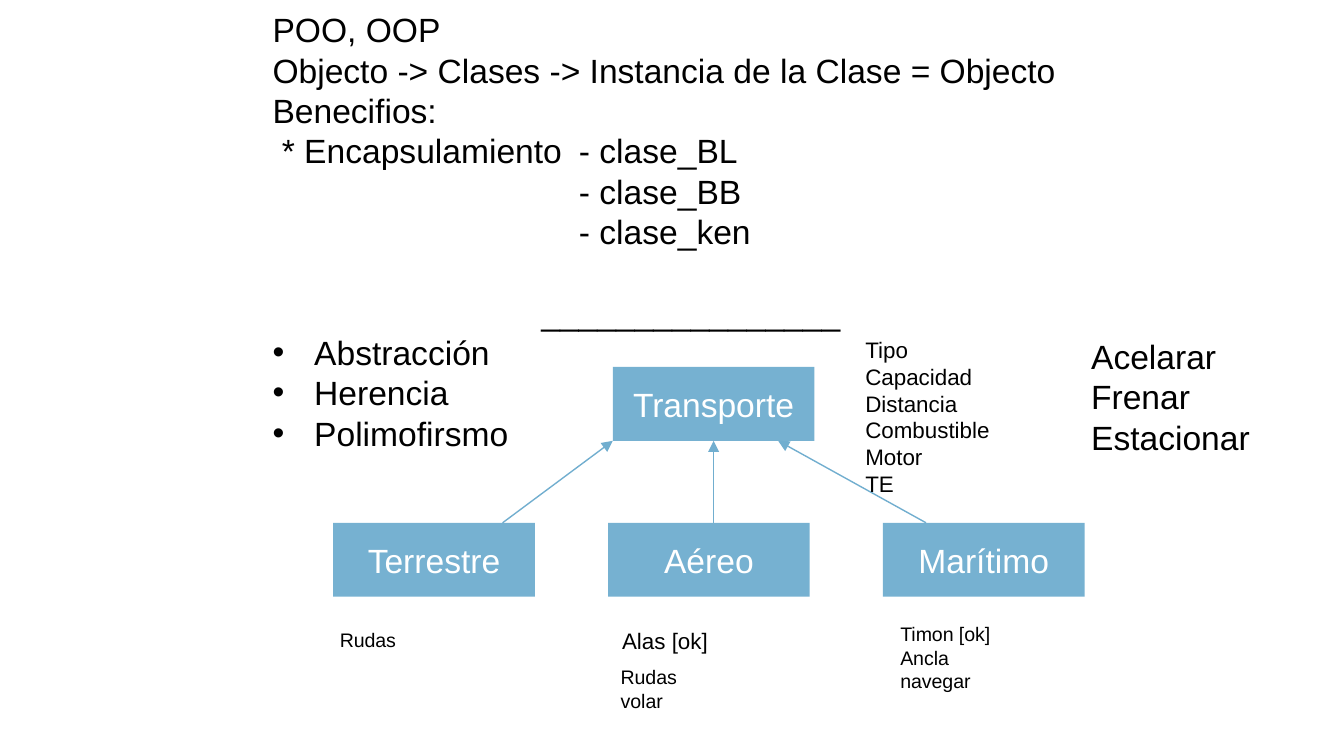
from pptx import Presentation, util as u
from pptx.dml import color
from pptx.enum import shapes as kinds, text
from pptx.oxml import parse_xml, ns

THEME = {
    "font": "Arial", "ink": "000000", "pale": "FFFFFF",
    "fill": "76B1D1", "line": "71AECF",
    "big": 18, "mid": 12, "small": 10.5, "edge": 0.75,
}


def tint(name):
    return color.RGBColor.from_string(THEME[name])


def apply(obj, vals):
    for key, val in vals.items():
        setattr(obj, key, val)


def xml(tag, attrs="", body=""):
    return parse_xml(f"<a:{tag} {ns.nsdecls('a')} {attrs}>{body}</a:{tag}>")


def style(para, size, ink="ink"):
    for run in para.runs:
        apply(run.font, {"name": THEME["font"], "size": u.Pt(THEME[size])})
        run.font.color.rgb = tint(ink)


def write(slide, box, lines, size, wrap=False):
    frame = slide.shapes.add_textbox(*map(u.Inches, box)).text_frame
    frame.word_wrap = wrap
    for i, line in enumerate(lines):
        para = frame.add_paragraph() if i else frame.paragraphs[0]
        para.text = line
        style(para, size)
    return frame.paragraphs


def indent(para, left, first=0):
    props = para._p.get_or_add_pPr()
    props.set("marL", str(u.Inches(left)))
    props.set("indent", str(u.Inches(first)))
    return props


def notes(slide, box):
    column = 2.28
    paras = write(slide, box, [
        "POO, OOP",
        "Objecto -> Clases -> Instancia de la Clase = Objecto",
        "Benecifios:",
        " * Encapsulamiento\t- clase_BL",
        "- clase_BB",
        "- clase_ken",
        "_" * 16,
        "Abstracción", "Herencia", "Polimofirsmo",
    ], "big", True)
    stop = f'<a:tab pos="{u.Inches(column)}" algn="l"/>'
    paras[3]._p.get_or_add_pPr().append(xml("tabLst", body=stop))
    for para in paras[4:6]:
        indent(para, column)
    indent(paras[6], 2)
    paras[6].space_before = u.Pt(21.6)
    for para in paras[7:]:
        props = indent(para, 0.31, -0.31)
        props.append(xml("buFont", 'typeface="Arial"'))
        props.append(xml("buChar", 'char="•"'))


def node(slide, box, label):
    shape = slide.shapes.add_shape(kinds.MSO_SHAPE.RECTANGLE, *map(u.Inches, box))
    shape.shadow.inherit = False
    shape.fill.solid()
    shape.fill.fore_color.rgb = tint("fill")
    shape.line.fill.background()
    frame = shape.text_frame
    apply(frame, {"word_wrap": True, "vertical_anchor": text.MSO_ANCHOR.MIDDLE})
    para = frame.paragraphs[0]
    apply(para, {"text": label, "alignment": text.PP_ALIGN.CENTER})
    style(para, "big", "pale")
    return shape


def arrow(slide, start, end):
    link = slide.shapes.add_connector(
        kinds.MSO_CONNECTOR.STRAIGHT, *map(u.Inches, start + end))
    link.line.color.rgb = tint("line")
    link.line.width = u.Pt(THEME["edge"])
    link.line._get_or_add_ln().append(xml("tailEnd", 'type="triangle"'))
    link._element.spPr.append(xml("effectLst"))
    return link


def tree(slide, box):
    left, top, wide, high = box
    size = (1.5, 0.55)
    step = (wide - size[0]) / 2
    low = top + high - size[1]
    base = top + size[1]
    for i, label in enumerate(["Terrestre", "Aéreo", "Marítimo"]):
        node(slide, (left + i * step, low, *size), label)
    root = node(slide, (left + 2.08, top, *size), "Transporte")
    for start, end in [(1.26, 2.08), (4.41, 3.31)]:
        arrow(slide, (left + start, low), (left + end, base))
    stem = left + 2.83
    arrow(slide, (stem, low), (stem, base)).end_connect(root, 2)


def traits(slide, box):
    left, top = box[:2]
    for x, y, wide, high, size, lines in [
        (3.91, 0, 1.13, 1.31, "mid",
         ["Tipo", "Capacidad", "Distancia", "Combustible", "Motor", "TE"]),
        (5.59, 0, 1.39, 1.01, "big", ["Acelarar\vFrenar", "Estacionar"]),
        (0, 2.17, 0.63, 0.45, "small", ["Rudas"]),
        (2.1, 2.17, 0.85, 0.3, "mid", ["Alas [ok]"]),
        (2.09, 2.45, 0.63, 0.45, "small", ["Rudas", "volar"]),
        (4.17, 2.13, 0.89, 0.81, "small", ["Timon [ok]", "Ancla", "navegar"]),
    ]:
        write(slide, (left + x, top + y, wide, high), lines, size)


def main():
    deck = Presentation()
    wide = u.Inches(10)
    apply(deck, {"slide_width": wide, "slide_height": wide * 9 // 16})
    slide = deck.slides.add_slide(deck.slide_layouts[6])
    notes(slide, (1.93, 0.02, 6.33, 3.43))
    tree(slide, (2.48, 2.73, 5.59, 1.71))
    traits(slide, (2.43, 2.45, 6.98, 2.94))
    deck.save("out.pptx")


if __name__ == "__main__":
    main()
